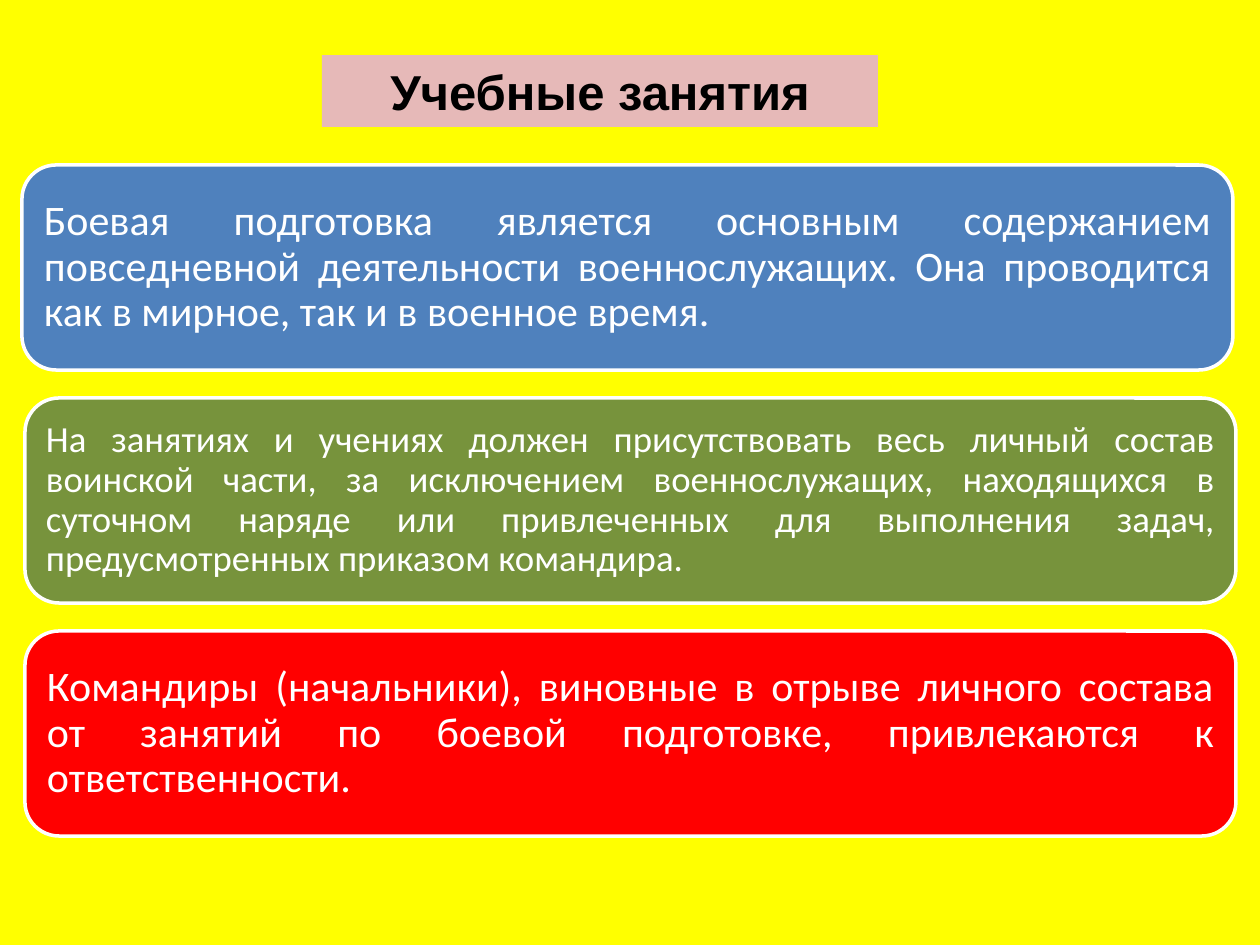
from pptx import Presentation
from pptx.dml.color import RGBColor
from pptx.enum.shapes import MSO_SHAPE
from pptx.enum.text import MSO_ANCHOR, MSO_AUTO_SIZE, PP_ALIGN
from pptx.util import Emu, Pt

EMU_PER_PX = 914400 / 126
COLORS = {
    "background": "FFFF00",
    "title": "E6B9B8",
    "training": "4F81BD",
    "attendance": "77933C",
    "liability": "FF0000",
    "black": "000000",
    "white": "FFFFFF",
}


def px(length):
    return Emu(round(length * EMU_PER_PX))


def write_text(shape, text, color, alignment, margin, font_format):
    frame = shape.text_frame
    frame_format = {
        "word_wrap": True,
        "auto_size": MSO_AUTO_SIZE.NONE,
        "vertical_anchor": MSO_ANCHOR.MIDDLE,
        "margin_left": px(margin),
        "margin_right": px(margin),
        "margin_top": px(margin),
        "margin_bottom": px(margin),
    }
    for name, value in frame_format.items():
        setattr(frame, name, value)
    para = frame.paragraphs[0]
    para.alignment = alignment
    span = para.add_run()
    span.text = text
    for name, value in font_format.items():
        setattr(span.font, name, value)
    span.font.color.rgb = RGBColor.from_string(COLORS[color])
    return para


deck = Presentation()
deck.slide_width, deck.slide_height = px(1260), px(945)
page = deck.slides.add_slide(deck.slide_layouts[5])
page.background.fill.solid()
page.background.fill.fore_color.rgb = RGBColor.from_string(COLORS["background"])

title = page.shapes.title
title.left, title.top, title.width, title.height = px(322), px(55), px(556), px(72)
title.fill.solid()
title.fill.fore_color.rgb = RGBColor.from_string(COLORS["title"])
write_text(title, "Учебные занятия", "black", PP_ALIGN.CENTER, 6,
           {"name": "Arial", "size": Pt(28), "bold": True})

# Left edge, colour, text size, inner margin, text
cards = [
    (22, "training", 24, 12,
     "Боевая подготовка является основным содержанием повседневной деятельности "
     "военнослужащих. Она проводится как в мирное, так и в военное время."),
    (25, "attendance", 21, 11,
     "На занятиях и учениях должен присутствовать весь личный состав воинской части, "
     "за исключением военнослужащих, находящихся в суточном наряде или привлеченных "
     "для выполнения задач, предусмотренных приказом командира."),
    (25, "liability", 24, 12,
     "Командиры (начальники), виновные в отрыве личного состава от занятий "
     "по боевой подготовке, привлекаются к ответственности."),
]
CARD_TOP, CARD_PITCH, CARD_WIDTH, CARD_HEIGHT = 165, 233, 1211, 205

for index, (left, color, size, margin, text) in enumerate(cards):
    card = page.shapes.add_shape(
        MSO_SHAPE.ROUNDED_RECTANGLE, px(left), px(CARD_TOP + index * CARD_PITCH),
        px(CARD_WIDTH), px(CARD_HEIGHT))
    card.shadow.inherit = False
    card.fill.solid()
    card.fill.fore_color.rgb = RGBColor.from_string(COLORS[color])
    card.line.color.rgb = RGBColor.from_string(COLORS["white"])
    card.line.width = Pt(2)
    para = write_text(card, text, "white", PP_ALIGN.JUSTIFY, margin,
                      {"name": "Calibri", "size": Pt(size)})
    para.line_spacing = 0.9

deck.save("out.pptx")
